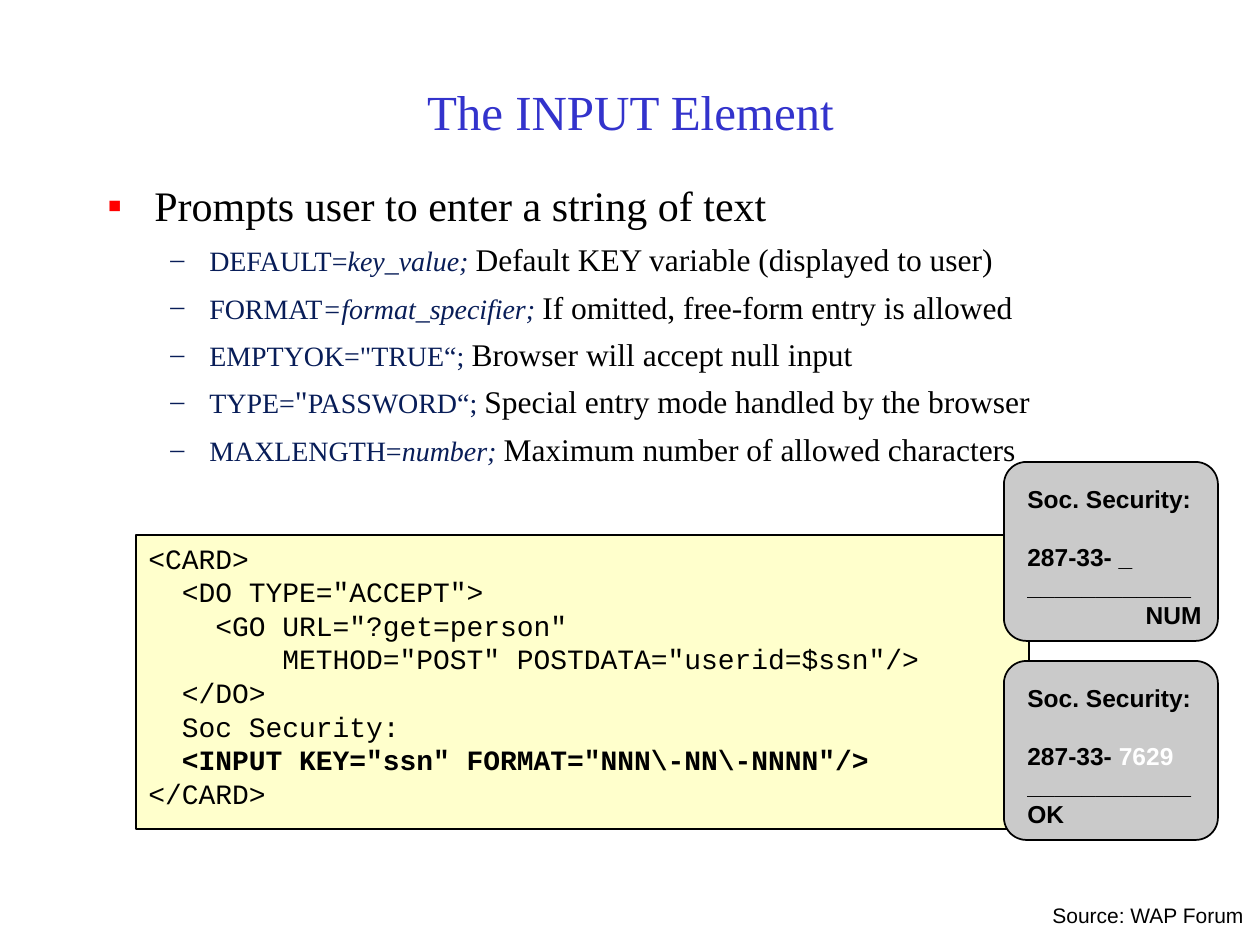
from dataclasses import dataclass

import lxml.etree
import pptx
import pptx.dml.color
import pptx.enum.shapes
import pptx.enum.text
import pptx.oxml.ns
import pptx.util

EMU_PER_PX = 914400 / 126


@dataclass(frozen=True)
class Theme:
    """Colours, fonts and type sizes of the slide."""
    black: str = "000000"
    white: str = "FFFFFF"
    title: str = "3333CC"
    keyword: str = "081D58"
    bullet: str = "FF0000"
    code_fill: str = "FFFFCC"
    screen_fill: str = "CACACA"
    serif: str = "Times New Roman"
    sans: str = "Arial"
    mono: str = "Courier New"
    title_size: int = 28
    lead_size: int = 24
    item_size: int = 18
    keyword_size: int = 16
    code_size: int = 16
    screen_size: int = 14
    source_size: int = 12


THEME = Theme()

ATTRIBUTES = [
    ([("DEFAULT=", ""), ("key_value; ", "i")], "Default KEY variable (displayed to user)"),
    ([("FORMAT", ""), ("=format_specifier; ", "i")], "If omitted, free-form entry is allowed"),
    ([('EMPTYOK="TRUE“; ', "")], "Browser will accept null input"),
    ([("TYPE=", ""), ('"', "large"), ("PASSWORD“; ", "")],
     "Special entry mode handled by the browser"),
    ([("MAXLENGTH=", ""), ("number; ", "i")], "Maximum number of allowed characters"),
]

CODE_LINES = [
    "<CARD>",
    '  <DO TYPE="ACCEPT">',
    '    <GO URL="?get=person"',
    '        METHOD="POST" POSTDATA="userid=$ssn"/>',
    "  </DO>",
    "  Soc Security:",
    '  <INPUT KEY="ssn" FORMAT="NNN\\-NN\\-NNNN"/>',
    "</CARD>",
]


def px(value):
    """Turn pixels into EMU."""
    return pptx.util.Emu(round(value * EMU_PER_PX))


def box(*lengths):
    """Turn left, top, width and height into EMU."""
    return [px(length) for length in lengths]


def set_font(font, name=None, size=None, color=None, bold=None, italic=None):
    """Apply the given properties to a font."""
    if name:
        font.name = name
    if size:
        font.size = pptx.util.Pt(size)
    if color:
        font.color.rgb = pptx.dml.color.RGBColor.from_string(color)
    if bold is not None:
        font.bold = bold
    if italic is not None:
        font.italic = italic


def add_run(paragraph, text, **font):
    """Append a formatted run to a paragraph."""
    run = paragraph.add_run()
    run.text = text
    set_font(run.font, **font)


def add_text_box(slide, place, wrap=True):
    """Add a text box and return its text frame."""
    frame = slide.shapes.add_textbox(*box(*place)).text_frame
    frame.word_wrap = wrap
    return frame


def next_paragraph(frame):
    """Return the unused first paragraph or a new one."""
    first = frame.paragraphs[0]
    return frame.add_paragraph() if first.runs else first


def add_panel(slide, kind, place, fill, line_width):
    """Add a filled and outlined shape without shadow."""
    shape = slide.shapes.add_shape(kind, *box(*place))
    shape.shadow.inherit = False
    shape.fill.solid()
    shape.fill.fore_color.rgb = pptx.dml.color.RGBColor.from_string(fill)
    shape.line.color.rgb = pptx.dml.color.RGBColor.from_string(THEME.black)
    shape.line.width = pptx.util.Pt(line_width)
    return shape


def set_bullet(paragraph, character, color, margin, hanging):
    """Give a paragraph a coloured bullet with a hanging indent."""
    properties = paragraph._p.get_or_add_pPr()
    properties.set("marL", str(px(margin)))
    properties.set("indent", str(-px(hanging)))
    tag = pptx.oxml.ns.qn
    bullet_color = lxml.etree.SubElement(properties, tag("a:buClr"))
    lxml.etree.SubElement(bullet_color, tag("a:srgbClr"), val=color)
    lxml.etree.SubElement(properties, tag("a:buFont"), typeface=THEME.serif)
    lxml.etree.SubElement(properties, tag("a:buChar"), char=character)


def add_title(slide, text):
    """Place and format the title placeholder."""
    title = slide.shapes.title
    title.left, title.top, title.width, title.height = box(95, 32, 1071, 158)
    title.text_frame.text = text
    title.text_frame.vertical_anchor = pptx.enum.text.MSO_ANCHOR.MIDDLE
    paragraph = title.text_frame.paragraphs[0]
    paragraph.alignment = pptx.enum.text.PP_ALIGN.CENTER
    set_font(paragraph.font, THEME.serif, THEME.title_size, THEME.title)


def add_attribute_list(slide):
    """Add the lead bullet and the list of attributes."""
    frame = add_text_box(slide, (95, 179, 1071, 634))
    lead = next_paragraph(frame)
    set_bullet(lead, "▪", THEME.bullet, 47, 47)
    lead.line_spacing = 0.9
    set_font(lead.font, THEME.serif, THEME.lead_size, THEME.black)
    add_run(lead, "Prompts user to enter a string of text")
    for keywords, description in ATTRIBUTES:
        item = next_paragraph(frame)
        item.level = 1
        set_bullet(item, "–", THEME.keyword, 102, 39)
        item.space_before = pptx.util.Pt(5.5)
        set_font(item.font, THEME.serif)
        for text, style in keywords:
            size = THEME.item_size if style == "large" else THEME.keyword_size
            add_run(item, text, size=size, color=THEME.keyword, italic=style == "i")
        add_run(item, description, size=THEME.item_size, color=THEME.black)


def add_code(slide):
    """Add the code panel with the INPUT line in bold."""
    add_panel(slide, pptx.enum.shapes.MSO_SHAPE.RECTANGLE, (136, 535, 893, 294),
              THEME.code_fill, 1)
    frame = add_text_box(slide, (136, 535, 924, 315))
    for line in CODE_LINES:
        paragraph = next_paragraph(frame)
        set_font(paragraph.font, THEME.mono, THEME.code_size, THEME.black,
                 bold="<INPUT" in line)
        add_run(paragraph, line)


def add_screen(slide, top, entry, entry_color, key, key_alignment):
    """Add a phone screen with a prompt, an entry and a soft key."""
    panel = add_panel(slide, pptx.enum.shapes.MSO_SHAPE.ROUNDED_RECTANGLE,
                      (1004, top, 214, 179), THEME.screen_fill, 1)
    panel.adjustments[0] = 0.125
    frame = add_text_box(slide, (1015, top + 16, 199, 160))
    for text in ("Soc. Security:", "287-33- ", "_" * 12, key):
        paragraph = next_paragraph(frame)
        set_font(paragraph.font, THEME.sans, THEME.screen_size, bold=True)
        add_run(paragraph, text, color=THEME.black)
    entry_line, key_line = frame.paragraphs[1], frame.paragraphs[3]
    entry_line.space_before = pptx.util.Pt(16)
    add_run(entry_line, entry, color=entry_color)
    key_line.alignment = key_alignment


def add_source(slide, text):
    """Add the source line in the bottom corner."""
    paragraph = next_paragraph(add_text_box(slide, (1040, 896, 218, 38), wrap=False))
    set_font(paragraph.font, THEME.sans, THEME.source_size, THEME.black)
    add_run(paragraph, text)


def main():
    """Build the slide and save it."""
    presentation = pptx.Presentation()
    presentation.slide_width, presentation.slide_height = box(1260, 945)
    slide = presentation.slides.add_slide(presentation.slide_layouts[5])
    align = pptx.enum.text.PP_ALIGN
    add_title(slide, "The INPUT Element")
    add_attribute_list(slide)
    add_code(slide)
    add_screen(slide, 462, "_", THEME.black, "NUM", align.RIGHT)
    add_screen(slide, 661, "7629", THEME.white, "OK", align.LEFT)
    add_source(slide, "Source: WAP Forum")
    presentation.save("out.pptx")


if __name__ == "__main__":
    main()
